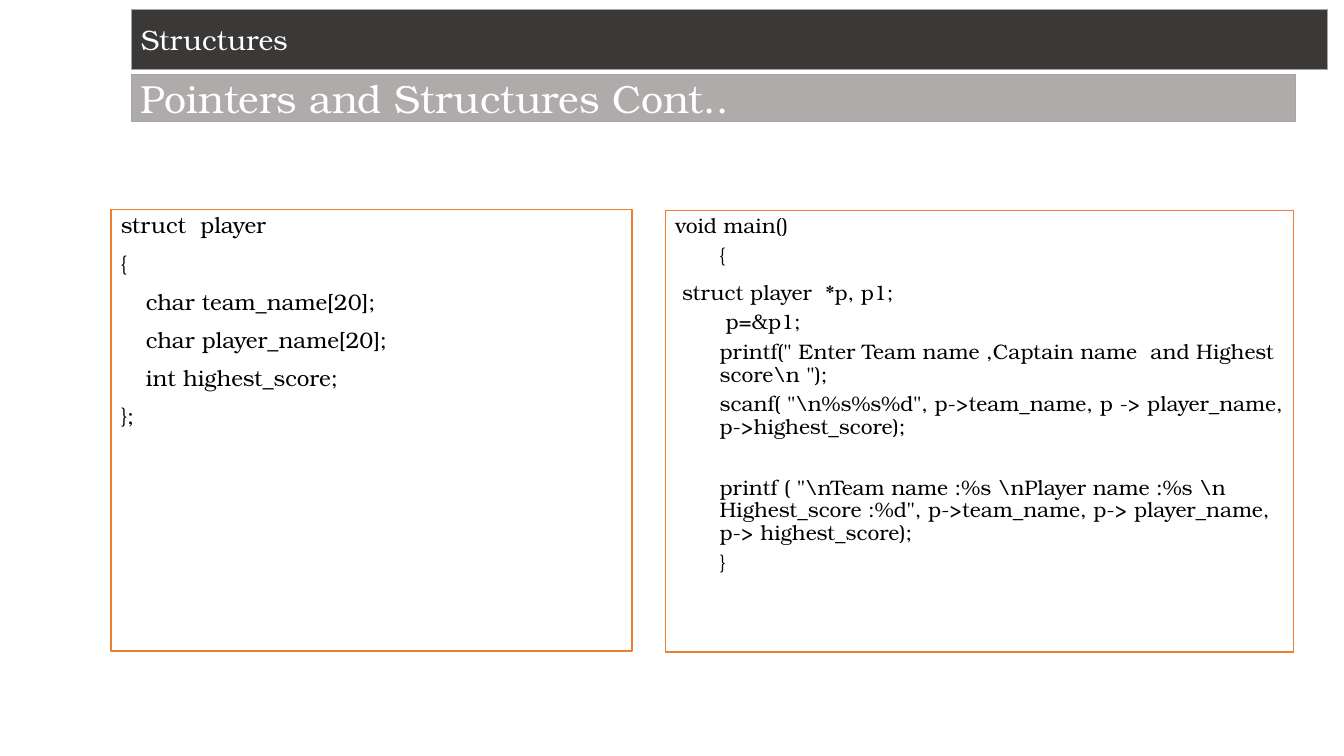
from pptx import Presentation
from pptx.dml.color import RGBColor
from pptx.enum.shapes import MSO_SHAPE
from pptx.enum.text import MSO_ANCHOR, PP_ALIGN
from pptx.util import Inches, Pt

FONT = "TeX Gyre Bonum"

# Each code line: text, left indent in inches, level, space before in points
STRUCT_CODE = [
    ("struct  player", 0, 0, 0),
    ("{", 0, 0, 10),
    ("char team_name[20];", 0.25, 0, 10),
    ("char player_name[20];", 0.25, 0, 10),
    ("int highest_score;", 0.25, 0, 10),
    ("};", 0, 0, 10),
]
MAIN_CODE = [
    ("void main()", 0, 0, 0),
    ("{", 0.44, 1, 5),
    (" struct player  *p, p1;", 0, 0, 10),
    ("p=&p1;", 0.5, 1, 5),
    (r'printf(" Enter Team name ,Captain name  and Highest score\n ");', 0.44, 1, 5),
    (r'scanf( "\n%s%s%d", p->team_name, p -> player_name, p->highest_score);', 0.44, 1, 5),
    (r'printf ( "\nTeam name :%s \nPlayer name :%s \n Highest_score :%d", '
     'p->team_name, p-> player_name, p-> highest_score);', 0.44, 1, 27),
    ("}", 0.44, 1, 5),
]


def rgb(value):
    return RGBColor.from_string(value)


def add_panel(slide, bounds, fill, line, line_width, anchor):
    panel = slide.shapes.add_shape(MSO_SHAPE.RECTANGLE, *map(Inches, bounds))
    panel.shadow.inherit = False
    panel.fill.solid()
    panel.fill.fore_color.rgb = rgb(fill)
    panel.line.color.rgb = rgb(line)
    panel.line.width = Pt(line_width)
    panel.text_frame.word_wrap = True
    panel.text_frame.vertical_anchor = anchor
    return panel.text_frame


def write(paragraph, text, size, color):
    paragraph.text = text
    paragraph.alignment = PP_ALIGN.LEFT
    paragraph.font.name = FONT
    paragraph.font.size = Pt(size)
    paragraph.font.color.rgb = rgb(color)


def add_banner(slide, bounds, fill, text, size):
    frame = add_panel(slide, bounds, fill, "A5A5A5", 0.5, MSO_ANCHOR.MIDDLE)
    write(frame.paragraphs[0], text, size, "FFFFFF")


def add_code(slide, bounds, lines, size):
    frame = add_panel(slide, bounds, "FFFFFF", "ED7D31", 1, MSO_ANCHOR.TOP)
    for index, (text, indent, level, before) in enumerate(lines):
        paragraph = frame.add_paragraph() if index else frame.paragraphs[0]
        write(paragraph, text, size, "000000")
        paragraph.level = level
        paragraph.line_spacing = 0.9
        if before:
            paragraph.space_before = Pt(before)
        properties = paragraph._p.get_or_add_pPr()
        properties.set("marL", str(Inches(indent)))
        properties.set("indent", "0")


def main():
    deck = Presentation()
    deck.slide_width, deck.slide_height = Inches(13.33), Inches(7.5)
    slide = deck.slides.add_slide(deck.slide_layouts[6])

    # Code panels
    add_code(slide, (1.1, 2.08, 5.17, 4.38), STRUCT_CODE, 16)
    add_code(slide, (6.6, 2.09, 6.23, 4.38), MAIN_CODE, 15)

    # Topic and title banners
    add_banner(slide, (1.3, 0.09, 11.87, 0.6), "3B3838", "Structures", 20)
    add_banner(slide, (1.3, 0.74, 11.55, 0.46), "AFABAB", "Pointers and Structures Cont..", 28)

    deck.save("out.pptx")


if __name__ == "__main__":
    main()
